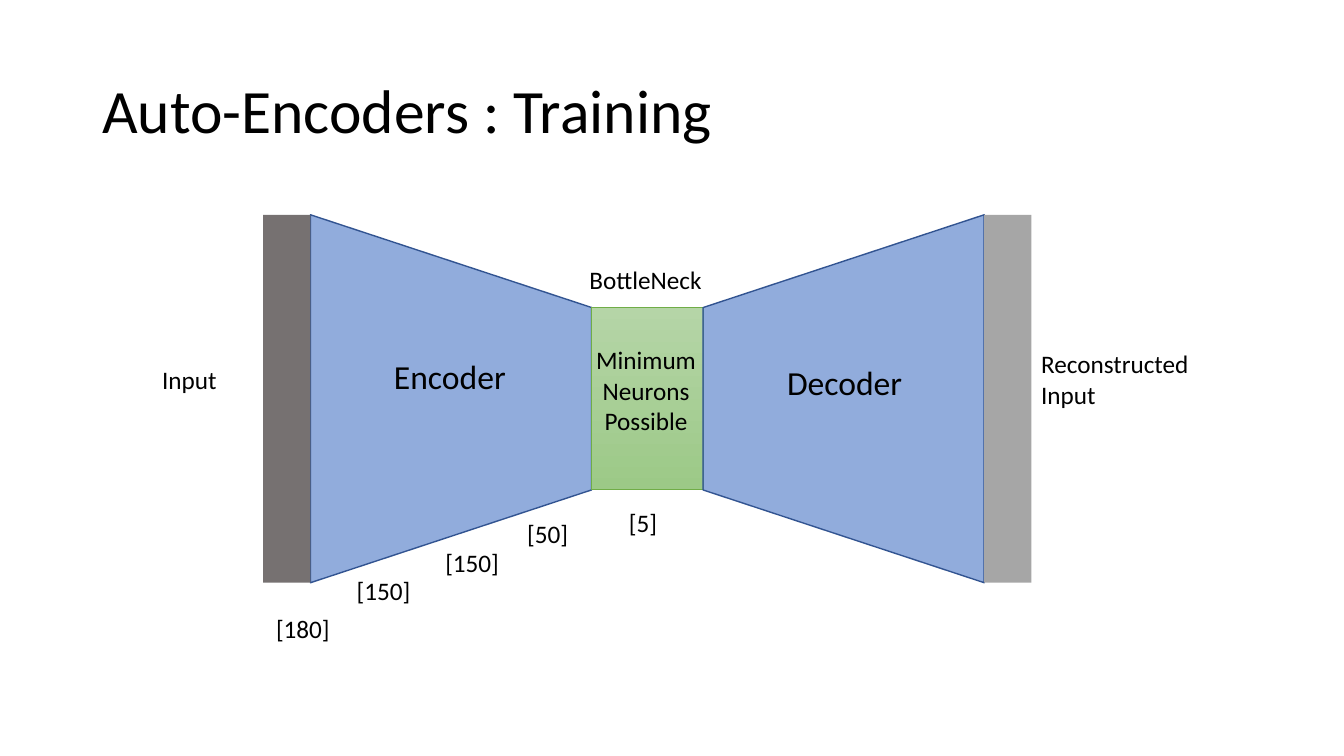
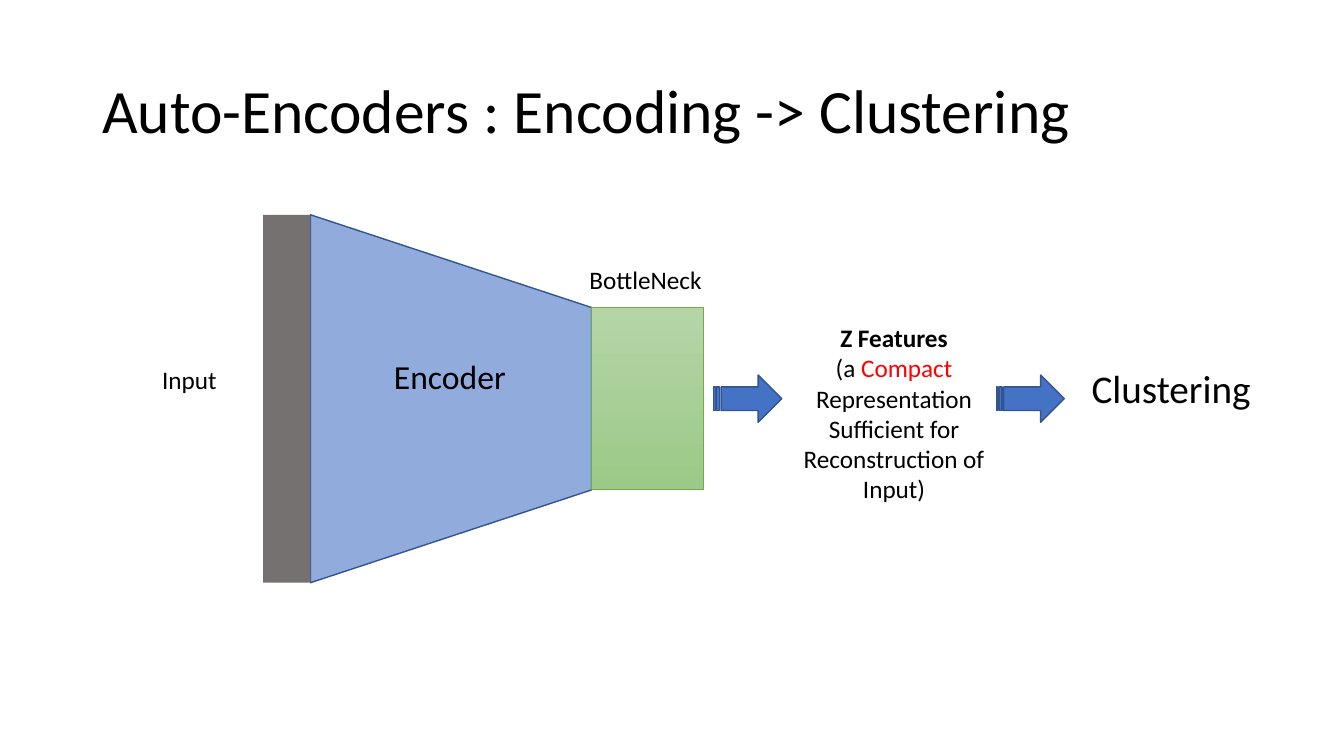
from pptx import Presentation
from pptx.dml.color import RGBColor
from pptx.enum.shapes import MSO_SHAPE
from pptx.enum.text import MSO_ANCHOR, MSO_AUTO_SIZE, PP_ALIGN
from pptx.oxml.ns import qn
from pptx.util import Pt
from lxml import etree

RECT, TRAP = MSO_SHAPE.RECTANGLE, MSO_SHAPE.TRAPEZOID
ARROW = MSO_SHAPE.STRIPED_RIGHT_ARROW
MIDDLE, FIT = MSO_ANCHOR.MIDDLE, MSO_AUTO_SIZE.SHAPE_TO_FIT_TEXT
LEFT, CENTER = PP_ALIGN.LEFT, PP_ALIGN.CENTER

BLACK = RGBColor(0x00, 0x00, 0x00)
RED = RGBColor(0xFF, 0x00, 0x00)
BLUE = RGBColor(0x44, 0x72, 0xC4)
NAVY = RGBColor(0x32, 0x54, 0x91)
GREEN = RGBColor(0x70, 0xAD, 0x47)
PALE = RGBColor(0xB5, 0xD5, 0xA7)
MOSS = RGBColor(0x9C, 0xC9, 0x87)
DARK = RGBColor(0x76, 0x71, 0x71)
GRAY = RGBColor(0xA6, 0xA6, 0xA6)

# Network geometry in points: the parts touch, left to right
MID = 284.8
BAR_W, CONE_W, NECK_W = 33.8, 200.8, 79.6
TALL, SLOPE = 262.8, 0.33
SHORT = TALL - 2 * SLOPE * CONE_W
IN_X = 188
ENC_X = IN_X + BAR_W
NECK_X = ENC_X + CONE_W
DEC_X = NECK_X + NECK_W
OUT_X = DEC_X + CONE_W


class Deck:
    font = "Calibri"

    def __init__(self):
        self.prs = Presentation()
        self.prs.slide_width, self.prs.slide_height = Pt(960), Pt(540)
        self.slide = None

    def page(self, title):
        self.slide = self.prs.slides.add_slide(self.prs.slide_layouts[6])
        frame = self.text(title, 66, 28.8, 828, 104.4, 44, wrap=True)
        frame.auto_size = MSO_AUTO_SIZE.NONE
        frame.vertical_anchor = MIDDLE
        frame.paragraphs[0].line_spacing = 0.9

    def style(self, run, size, color=BLACK, bold=False):
        run.font.name, run.font.size = self.font, Pt(size)
        run.font.color.rgb, run.font.bold = color, bold

    def text(self, words, x, y, w, h=28.8, size=18, align=LEFT, wrap=False):
        box = self.slide.shapes.add_textbox(Pt(x), Pt(y), Pt(w), Pt(h))
        frame = box.text_frame
        frame.text = words
        frame.word_wrap, frame.auto_size = wrap, FIT
        for para in frame.paragraphs:
            para.alignment = align
            for run in para.runs:
                self.style(run, size)
        return frame

    def shape(self, kind, x, w, h, fill=None, line=None, width=1):
        """Add a shape centred on the middle line of the network."""
        item = self.slide.shapes.add_shape(
            kind, Pt(x), Pt(MID - h / 2), Pt(w), Pt(h))
        item.shadow.inherit = False
        if fill is not None:
            item.fill.solid()
            item.fill.fore_color.rgb = fill
        if line is None:
            item.line.fill.background()
        else:
            item.line.color.rgb, item.line.width = line, Pt(width)
        return item

    def bar(self, x, color):
        self.shape(RECT, x, BAR_W, TALL, color)

    def arrow(self, x):
        self.shape(ARROW, x, 48.6, 33.8, BLUE, NAVY)

    def cone(self, x, turn):
        # Width and height swap once the trapezoid is turned on its side
        left = x + (CONE_W - TALL) / 2
        item = self.shape(TRAP, left, TALL, CONE_W, BLUE, NAVY)
        item.rotation = turn
        item.adjustments[0] = SLOPE
        color = item.fill._xPr.find(qn("a:solidFill"))[0]
        etree.SubElement(color, qn("a:alpha")).set("val", "59000")

    def neck(self):
        item = self.shape(RECT, NECK_X, NECK_W, SHORT, None, GREEN, 0.5)
        item.fill.gradient()
        item.fill.gradient_angle = 270
        for stop, color in zip(item.fill.gradient_stops, (PALE, MOSS)):
            stop.color.rgb = color
        self.text("BottleNeck", 414, 185, 95.8)

    def encoder(self):
        self.cone(ENC_X, 90)
        self.neck()
        self.bar(IN_X, DARK)
        self.text("Input", 108.7, 257, 54)
        self.text("Encoder", 274.3, 250.6, 95, 36, 24)


def training(deck):
    deck.page("Auto-Encoders : Training")
    deck.encoder()
    deck.text("Minimum\nNeurons\nPossible", 418.3, 242.6, 86.4, 72.7,
              align=CENTER)

    # Decoder half
    deck.cone(DEC_X, 270)
    deck.bar(OUT_X, GRAY)
    deck.text("Decoder", 555.1, 254.9, 97.9, 36, 24)
    deck.text("Reconstructed\nInput", 736.6, 245.5, 121, 51.1)

    # Layer sizes
    for words, x, y, w in (("[180]", 190.1, 434.2, 53.3),
                           ("[150]", 247.7, 407.5, 53.3),
                           ("[150]", 311, 387.4, 53.3),
                           ("[50]", 369.4, 366.5, 43.9),
                           ("[5]", 442.1, 358.6, 34.6)):
        deck.text(words, x, y, w)


def clustering(deck):
    deck.page("Auto-Encoders : Encoding -> Clustering")
    deck.encoder()

    # Features and what they feed
    deck.arrow(509.8)
    frame = deck.text(
        "Z Features\n(a \nRepresentation\nSufficient for\n"
        "Reconstruction of\nInput)", 565.9, 226.8, 145.4, 138.2, align=CENTER)
    head, lead = frame.paragraphs[:2]
    head.runs[0].font.bold = True
    run = lead.add_run()
    run.text = "Compact"
    deck.style(run, 18, RED)
    deck.arrow(711.6)
    deck.text("Clustering", 772.6, 257, 168.5, 41, 28, wrap=True)


def main():
    deck = Deck()
    training(deck)
    clustering(deck)
    deck.prs.save("out.pptx")


if __name__ == "__main__":
    main()
